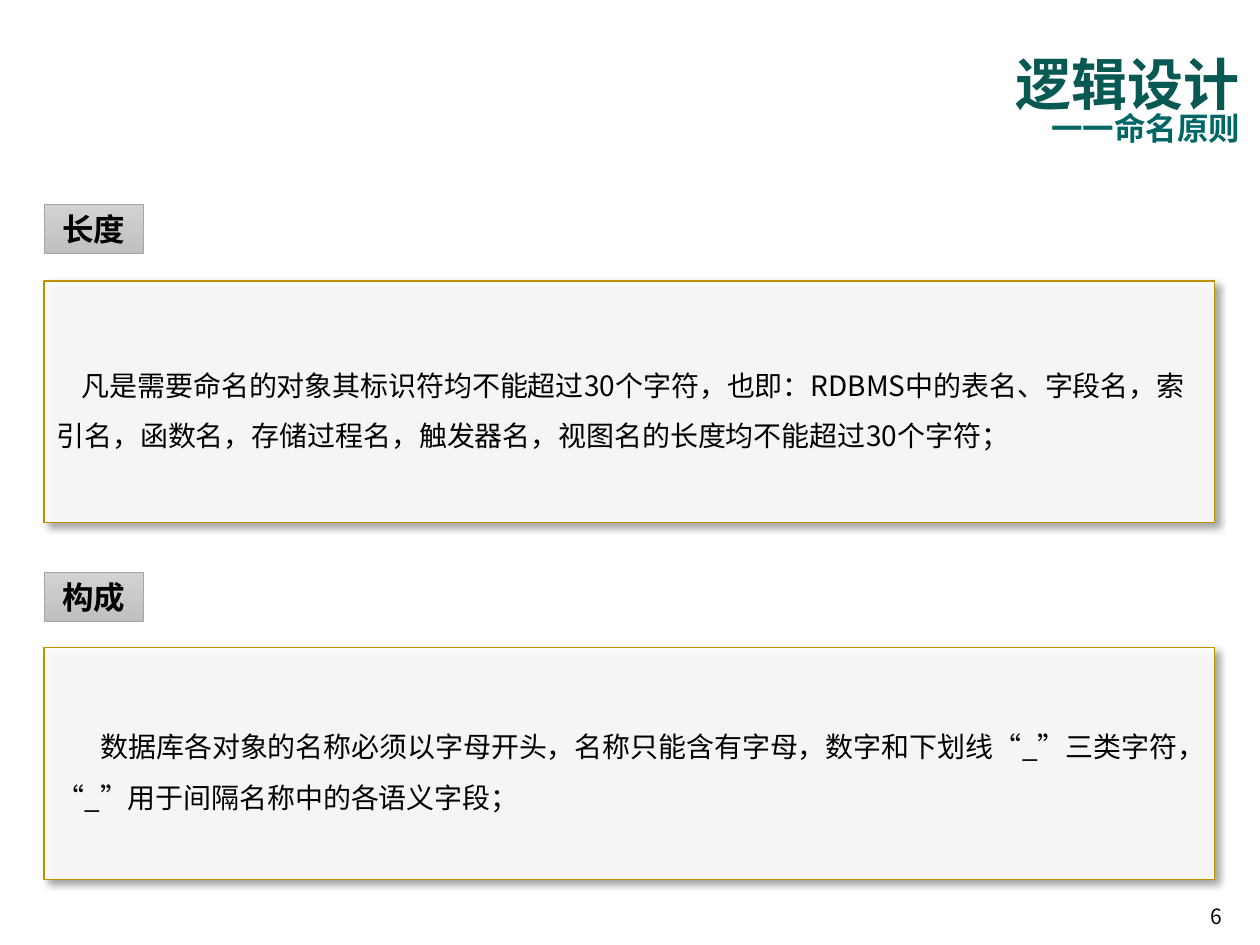
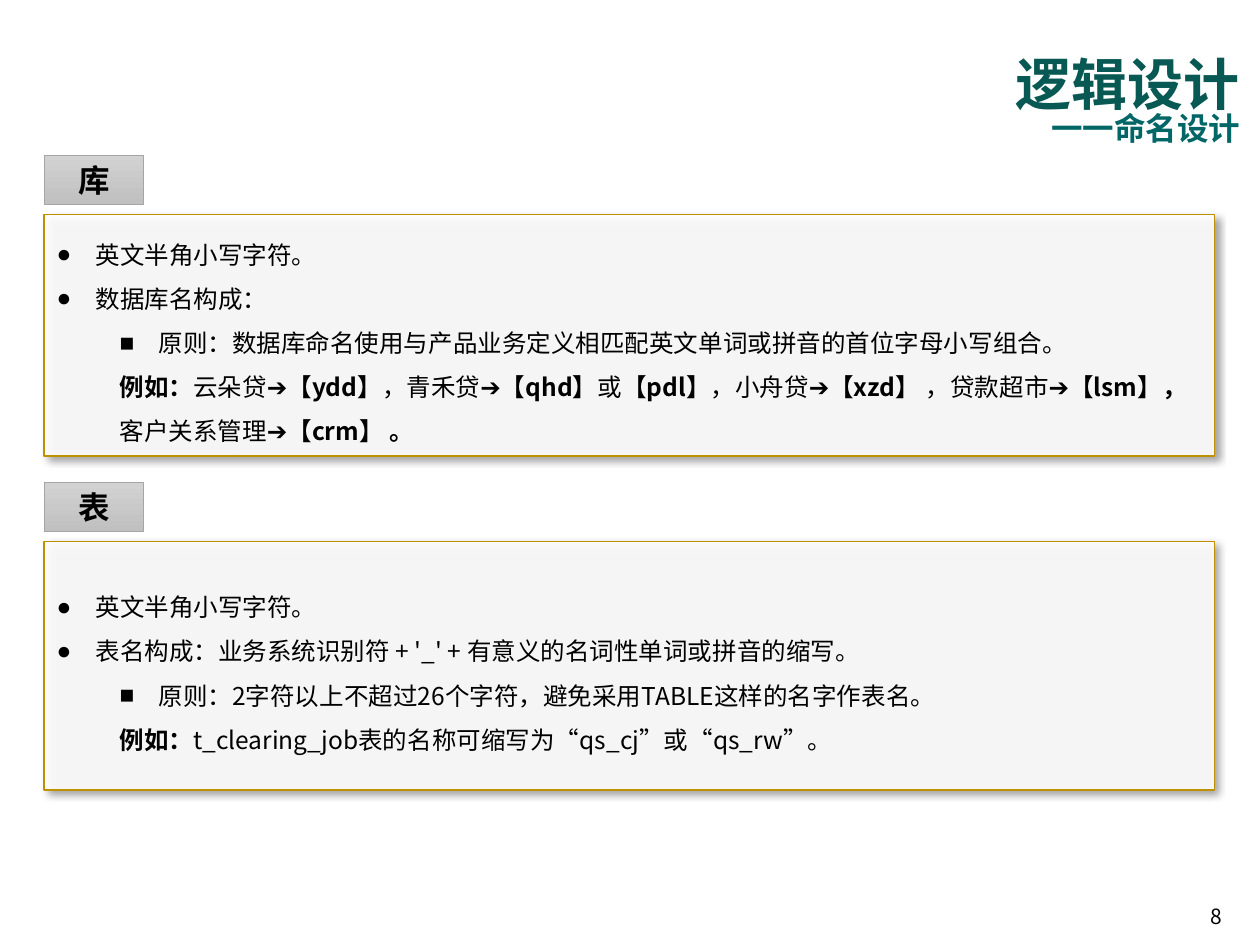
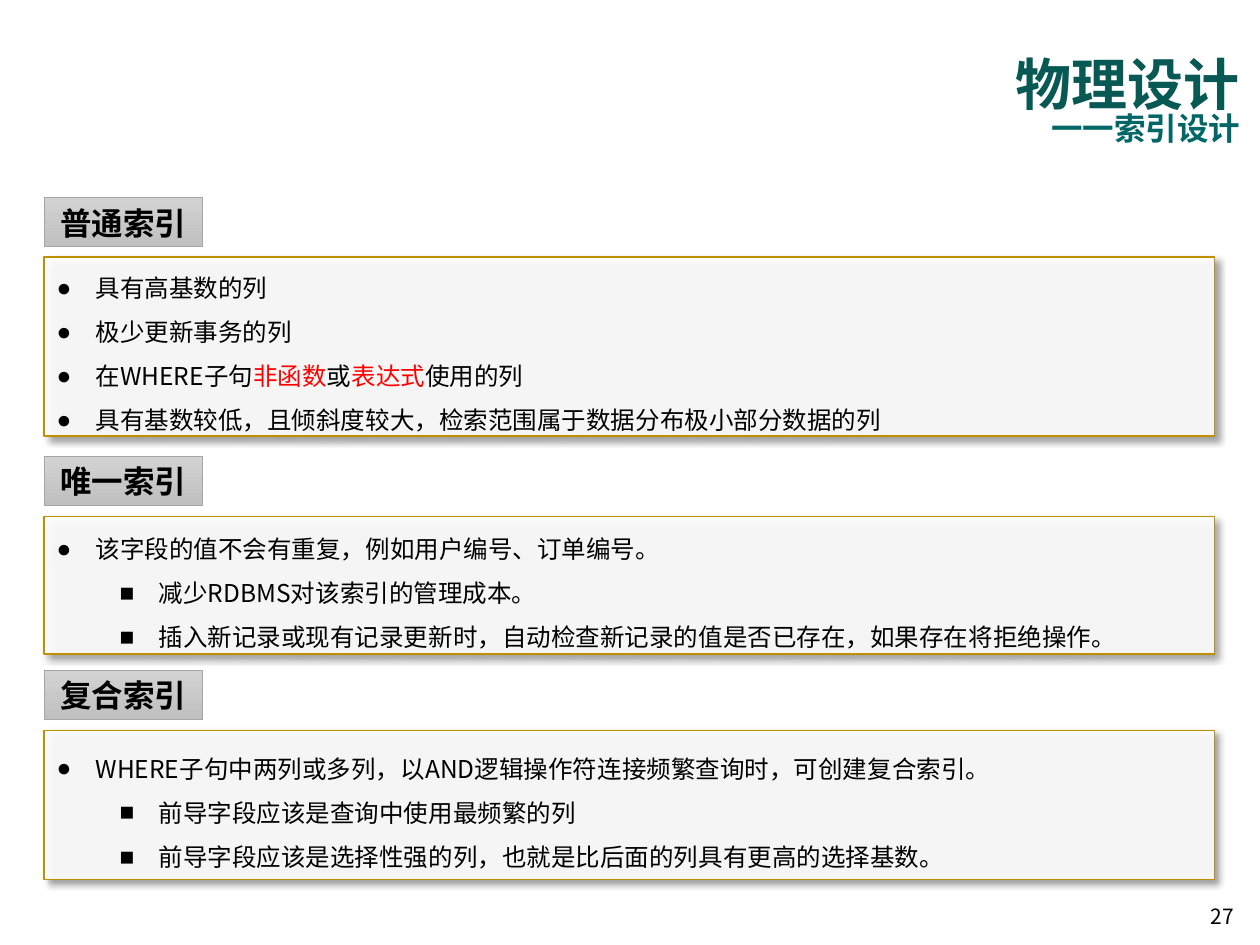
from dataclasses import dataclass

from lxml import etree
from pptx import Presentation
from pptx.dml.color import RGBColor
from pptx.enum.shapes import MSO_SHAPE
from pptx.enum.text import MSO_ANCHOR, PP_ALIGN
from pptx.oxml.ns import qn
from pptx.util import Inches, Pt

RECTANGLE = MSO_SHAPE.RECTANGLE
MIDDLE, TOP = MSO_ANCHOR.MIDDLE, MSO_ANCHOR.TOP
LEFT, CENTER, RIGHT = PP_ALIGN.LEFT, PP_ALIGN.CENTER, PP_ALIGN.RIGHT


@dataclass(frozen=True)
class Theme:
    body_font: str = "Noto Sans CJK SC"
    label_font: str = "Arial"
    ink: str = "000000"
    alert: str = "FF0000"
    title: str = "085854"
    subtitle: str = "006666"
    panel: str = "FFFFFF"
    panel_line: str = "BF9000"
    label_top: str = "D2D2D2"
    label_bottom: str = "C0C0C0"
    label_line: str = "A5A5A5"
    title_size: int = 32
    heading_size: int = 18
    text_size: int = 16
    list_size: int = 14
    number_size: int = 12


theme = Theme()

# Kind of paragraph: left margin, first-line indent, bullet, size
KINDS = {
    "short": (0, 0.2, None, theme.text_size),
    "long": (0, 0.35, None, theme.text_size),
    "dot": (0.31, -0.31, "●", theme.list_size),
    "square": (0.81, -0.31, "■", theme.list_size),
    "example": (0.5, 0, None, theme.list_size),
}
PANEL_LEFT, PANEL_WIDTH, LABEL_HEIGHT = 0.35, 9.29, 0.39

# Section: label, label top, panel top, panel height, paragraphs.
# Asterisks enclose emphasis: bold in examples, red elsewhere.
PAGES = [
    ("逻辑设计", "一一命名原则", 6, 0.79, [
        ("长度", 1.62, 2.23, 1.92, [
            ("short", "凡是需要命名的对象其标识符均不能超过30个字符，也即：RDBMS中的表名、字段名，"
                      "索引名，函数名，存储过程名，触发器名，视图名的长度均不能超过30个字符；"),
        ]),
        ("构成", 4.54, 5.14, 1.84, [
            ("long", "数据库各对象的名称必须以字母开头，名称只能含有字母，数字和下划线“_”三类字符，"
                     "“_”用于间隔名称中的各语义字段；"),
        ]),
    ]),
    ("逻辑设计", "一一命名设计", 8, 0.79, [
        ("库", 1.23, 1.7, 1.92, [
            ("dot", "英文半角小写字符。"),
            ("dot", "数据库名构成："),
            ("square", "原则：数据库命名使用与产品业务定义相匹配英文单词或拼音的首位字母小写组合。"),
            ("example", "*例如：*云朵贷*➔【ydd】*，青禾贷*➔【qhd】*或*【pdl】*，小舟贷*➔【xzd】*"
                        " ，贷款超市*➔【lsm】，*客户关系管理*➔【crm】 。*"),
        ]),
        ("表", 3.83, 4.3, 1.97, [
            ("dot", "英文半角小写字符。"),
            ("dot", "表名构成：业务系统识别符 + '_' + 有意义的名词性单词或拼音的缩写。"),
            ("square", "原则：2字符以上不超过26个字符，避免采用TABLE这样的名字作表名。"),
            ("example", "*例如：*t_clearing_job表的名称可缩写为“qs_cj”或“qs_rw”。"),
        ]),
    ]),
    ("物理设计", "一一索引设计", 27, 1.26, [
        ("普通索引", 1.57, 2.04, 1.42, [
            ("dot", "具有高基数的列"),
            ("dot", "极少更新事务的列"),
            ("dot", "在WHERE子句*非函数*或*表达式*使用的列"),
            ("dot", "具有基数较低，且倾斜度较大，检索范围属于数据分布极小部分数据的列"),
        ]),
        ("唯一索引", 3.62, 4.1, 1.09, [
            ("dot", "该字段的值不会有重复，例如用户编号、订单编号。"),
            ("square", "减少RDBMS对该索引的管理成本。"),
            ("square", "插入新记录或现有记录更新时，自动检查新记录的值是否已存在，如果存在将拒绝操作。"),
        ]),
        ("复合索引", 5.32, 5.8, 1.18, [
            ("dot", "WHERE子句中两列或多列，以AND逻辑操作符连接频繁查询时，可创建复合索引。"),
            ("square", "前导字段应该是查询中使用最频繁的列"),
            ("square", "前导字段应该是选择性强的列，也就是比后面的列具有更高的选择基数。"),
        ]),
    ]),
]


def write(box, text, *, size, color=theme.ink, font=theme.body_font, bold=False,
          emphasis=None, align=LEFT, anchor=MIDDLE, spacing=1.0,
          margin=0, indent=0, bullet=None):
    """Add one paragraph; text between asterisks takes the emphasis format."""
    frame = box.text_frame
    frame.word_wrap = True
    frame.vertical_anchor = anchor
    para = frame.paragraphs[-1]
    if para.runs:
        para = frame.add_paragraph()
    para.alignment = align
    para.line_spacing = spacing
    properties = para._p.get_or_add_pPr()
    properties.set("marL", str(Inches(margin)))
    properties.set("indent", str(Inches(indent)))
    if bullet:
        etree.SubElement(properties, qn("a:buFont"), typeface=theme.label_font)
        etree.SubElement(properties, qn("a:buChar"), char=bullet)
    for index, part in enumerate(text.split("*")):
        if not part:
            continue
        span = para.add_run()
        span.text = part
        look = {"bold": bold, "color": color}
        if index % 2:
            look.update(emphasis)
        span.font.size = Pt(size)
        span.font.name = font
        span.font.bold = look["bold"]
        span.font.color.rgb = RGBColor.from_string(look["color"])
        etree.SubElement(span._r.get_or_add_rPr(), qn("a:ea"), typeface=theme.body_font)


def add_box(page, top, width, height, line_color, line_width):
    box = page.shapes.add_shape(RECTANGLE, Inches(PANEL_LEFT), Inches(top),
                                Inches(width), Inches(height))
    box.line.color.rgb = RGBColor.from_string(line_color)
    box.line.width = Pt(line_width)
    box.shadow.inherit = False
    return box


deck = Presentation()
deck.slide_width, deck.slide_height = Inches(10), Inches(7.5)

for title, subtitle, number, label_width, sections in PAGES:
    page = deck.slides.add_slide(deck.slide_layouts[6])

    heading = page.shapes.add_textbox(Inches(2.02), Inches(0.4), Inches(7.92), Inches(0.94))
    heading.text_frame.margin_top = Inches(0.1)
    for text, size, color in ((title, theme.title_size, theme.title),
                              (subtitle, theme.heading_size, theme.subtitle)):
        write(heading, text, size=size, color=color, bold=True, align=RIGHT,
              anchor=TOP, spacing=0.8)

    for name, label_top, panel_top, panel_height, paragraphs in sections:
        panel = add_box(page, panel_top, PANEL_WIDTH, panel_height, theme.panel_line, 0.75)
        panel.fill.solid()
        panel.fill.fore_color.rgb = RGBColor.from_string(theme.panel)
        look = panel._element.spPr
        fill_color = look.find(qn("a:solidFill")).find(qn("a:srgbClr"))
        etree.SubElement(fill_color, qn("a:alpha"), val="90000")
        shadow = etree.SubElement(look.find(qn("a:effectLst")), qn("a:outerShdw"),
                                  blurRad=str(Pt(4)), dist=str(Pt(3)),
                                  dir=str(45 * 60000), algn="tl", rotWithShape="0")
        shadow_color = etree.SubElement(shadow, qn("a:srgbClr"), val=theme.ink)
        etree.SubElement(shadow_color, qn("a:alpha"), val="40000")
        for kind, text in paragraphs:
            margin, indent, bullet, size = KINDS[kind]
            emphasis = {"bold": True} if kind == "example" else {"color": theme.alert}
            write(panel, text, size=size, emphasis=emphasis, spacing=1.5,
                  margin=margin, indent=indent, bullet=bullet)

        label = add_box(page, label_top, label_width, LABEL_HEIGHT, theme.label_line, 0.5)
        label.fill.gradient()
        label.fill.gradient_angle = 270
        for stop, color in zip(label.fill.gradient_stops,
                               (theme.label_top, theme.label_bottom)):
            stop.color.rgb = RGBColor.from_string(color)
        write(label, name, size=theme.heading_size, font=theme.label_font,
              bold=True, align=CENTER)

    footer = page.shapes.add_textbox(Inches(9.51), Inches(7.07), Inches(0.45), Inches(0.4))
    write(footer, str(number), size=theme.number_size)

deck.save("out.pptx")
